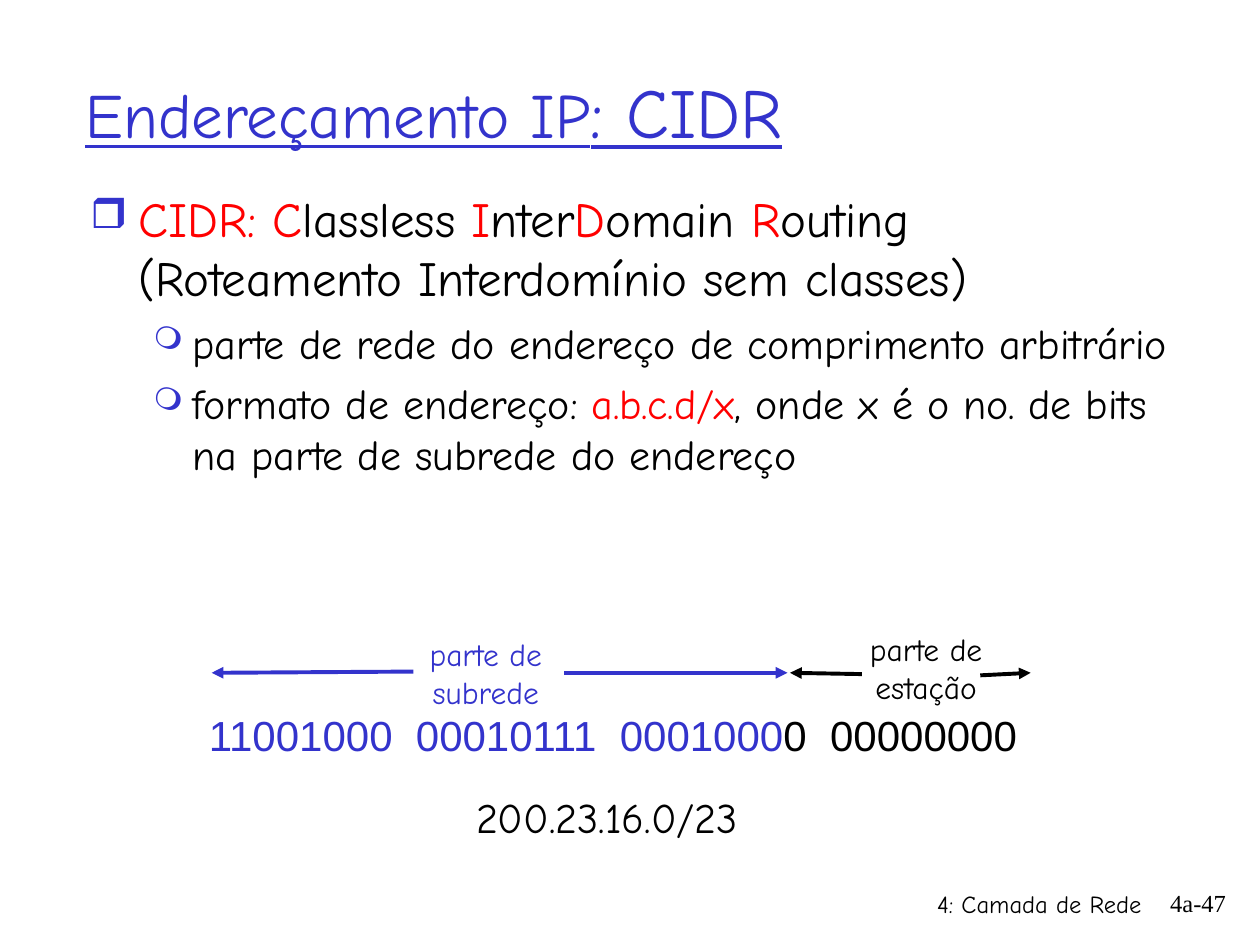
from pptx import Presentation
from pptx.dml.color import RGBColor
from pptx.enum.shapes import MSO_CONNECTOR as Connector
from pptx.enum.text import MSO_ANCHOR as Anchor, MSO_AUTO_SIZE as AutoSize, PP_ALIGN as Align
from pptx.oxml.ns import qn
from pptx.util import Pt
from lxml.etree import SubElement

PX = 9144  # EMU per px, 100 px to the inch
COLORS = {"blue": "3333CC", "red": "FF0000", "black": "000000"}
FONT = "Comic Neue"


def add_run(paragraph, text, *, size, color="black", font=FONT, underline=None):
    run = paragraph.add_run()
    run.text = text
    run.font.size = Pt(size)
    run.font.name = font
    run.font.underline = underline
    run.font.color.rgb = RGBColor.from_string(COLORS[color])


class SlideBuilder:
    def __init__(self, slide):
        self.slide = slide

    def text(self, box, *lines, align=Align.LEFT, anchor=Anchor.TOP, wrap=True, **style):
        """Each line is a string or a list of (text, format changes) runs."""
        shape = self.slide.shapes.add_textbox(*(value * PX for value in box))
        frame = shape.text_frame
        frame.word_wrap = wrap
        frame.auto_size = AutoSize.NONE if wrap else AutoSize.SHAPE_TO_FIT_TEXT
        frame.vertical_anchor = anchor
        for index, line in enumerate(lines):
            paragraph = frame.add_paragraph() if index else frame.paragraphs[0]
            paragraph.alignment = align
            for text, changes in [(line, {})] if isinstance(line, str) else line:
                add_run(paragraph, text, **{**style, **changes})
        return frame

    def bullet(self, paragraph, character, *, level, margin, hanging, percent):
        paragraph.level = level
        paragraph.space_before = Pt(6)
        properties = paragraph._p.get_or_add_pPr()
        properties.set("marL", str(margin * PX))
        properties.set("indent", str(-hanging * PX))
        color = SubElement(properties, qn("a:buClr"))
        SubElement(color, qn("a:srgbClr"), val=COLORS["blue"])
        SubElement(properties, qn("a:buSzPct"), val=str(percent * 1000))
        SubElement(properties, qn("a:buChar"), char=character)

    def arrow(self, start, end, color):
        ends = (value * PX for value in (*start, *end))
        connector = self.slide.shapes.add_connector(Connector.STRAIGHT, *ends)
        connector.line.width = Pt(2.25)
        connector.line.color.rgb = RGBColor.from_string(COLORS[color])
        SubElement(connector.line._get_or_add_ln(), qn("a:tailEnd"), type="triangle")
        SubElement(connector._element.spPr, qn("a:effectLst"))


def main():
    presentation = Presentation()
    presentation.slide_width = 1000 * PX
    presentation.slide_height = 750 * PX
    builder = SlideBuilder(presentation.slides.add_slide(presentation.slide_layouts[6]))
    red = {"color": "red"}

    # Footer
    builder.text((599, 701, 317, 50), "4: Camada de Rede", align=Align.RIGHT, size=14)
    builder.text((893, 700, 90, 50), "4a-47", align=Align.RIGHT, size=14,
                 font="Times New Roman")

    # Title
    builder.text((58, 25, 850, 125), [("Endereçamento IP", {}), (": CIDR", {"size": 40})],
                 anchor=Anchor.MIDDLE, size=36, color="blue", underline=True)

    # Definition and its details
    small = {"size": 24}
    definition = [("CIDR: C", red), ("lassless ", {}), ("I", red), ("nter", {}),
                  ("D", red), ("omain ", {}), ("R", red),
                  ("outing (Roteamento Interdomínio sem classes)", {})]
    network = [("parte de rede do endereço de comprimento arbitrário", small)]
    notation = [("formato de endereço: ", small), ("a.b.c.d/x", {**small, **red}),
                (", onde x é o no. de bits na parte de subrede do endereço", small)]
    body = builder.text((62, 145, 887, 347), definition, network, notation, size=28)
    first, *details = body.paragraphs
    builder.bullet(first, "❒", level=0, margin=38, hanging=38, percent=85)
    for paragraph in details:
        builder.bullet(paragraph, "❍", level=1, margin=81, hanging=31, percent=75)

    # Address bits and their two parts
    builder.text((156, 558, 670, 50),
                 [("11001000  00010111  0001000", {"color": "blue"}), ("0  00000000", {})],
                 wrap=False, size=24, font="Arial")
    for box, name, color in [((324, 499, 123, 71), "subrede", "blue"),
                             ((675, 495, 120, 70), "estação", "black")]:
        builder.text(box, "parte de", name, align=Align.CENTER, wrap=False,
                     size=18, color=color)

    # Extent arrows
    for start, end, color in [((448, 534), (625, 534), "blue"),
                              ((328, 533), (168, 534), "blue"),
                              ((684, 535), (627, 534), "black"),
                              ((778, 536), (818, 534), "black")]:
        builder.arrow(start, end, color)

    # Address in CIDR notation
    builder.text((368, 623, 260, 50), "200.23.16.0/23", wrap=False, size=24)

    presentation.save("out.pptx")


if __name__ == "__main__":
    main()
